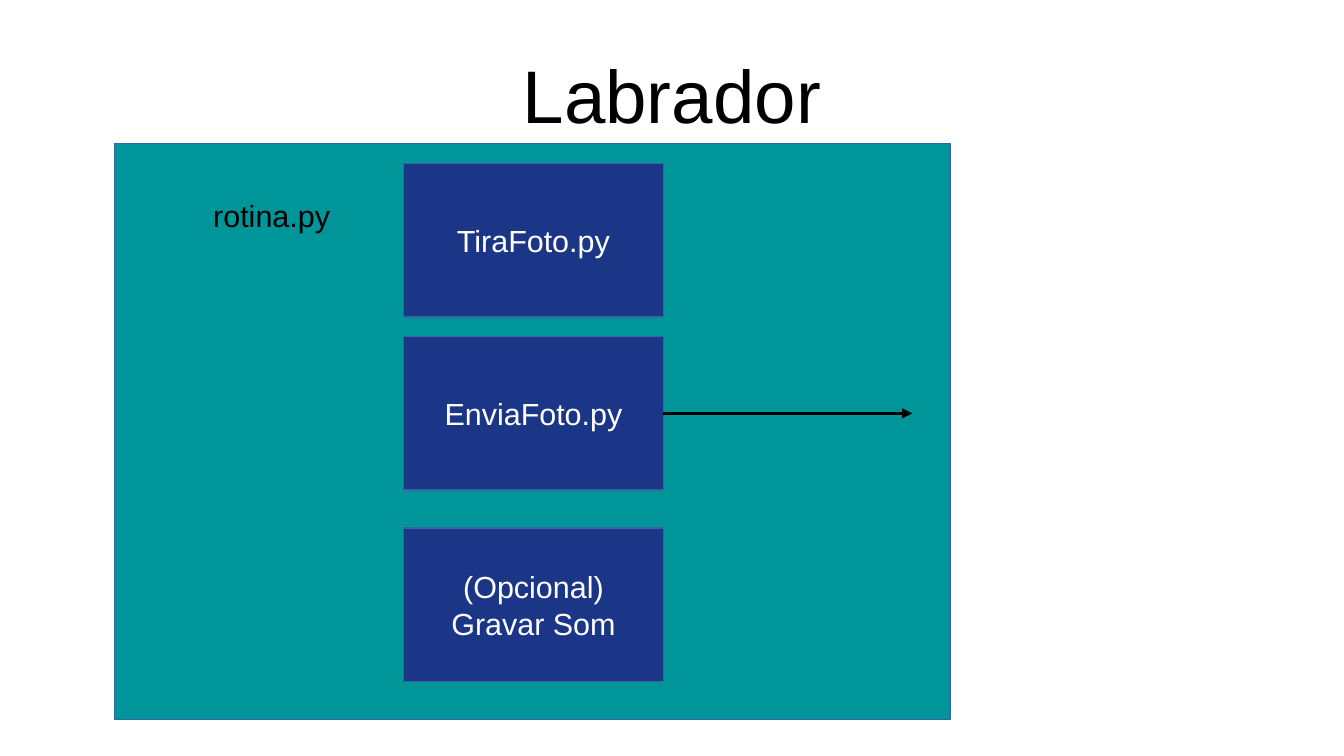
from lxml import etree
from pptx import Presentation
from pptx.dml.color import RGBColor
from pptx.enum.shapes import MSO_CONNECTOR, MSO_SHAPE
from pptx.enum.text import MSO_ANCHOR, PP_ALIGN
from pptx.oxml.ns import qn
from pptx.util import Inches, Pt

RECTANGLE = MSO_SHAPE.RECTANGLE
STRAIGHT = MSO_CONNECTOR.STRAIGHT
TOP, MIDDLE = MSO_ANCHOR.TOP, MSO_ANCHOR.MIDDLE
LEFT, CENTER = PP_ALIGN.LEFT, PP_ALIGN.CENTER


def color(hex_text):
    return RGBColor.from_string(hex_text)


def write(box, lines, size, hex_text, align, anchor):
    frame = box.text_frame
    frame.word_wrap = False
    frame.vertical_anchor = anchor
    for index, line in enumerate(lines):
        para = frame.paragraphs[0] if index == 0 else frame.add_paragraph()
        para.alignment = align
        span = para.add_run()
        span.text = line
        span.font.name = "Arial"
        span.font.size = Pt(size)
        span.font.color.rgb = color(hex_text)


deck = Presentation()
deck.slide_width = Inches(11.02)
deck.slide_height = Inches(6.2)
page = deck.slides.add_slide(deck.slide_layouts[6])

title = page.shapes.add_textbox(Inches(0.55), Inches(0.25), Inches(9.92), Inches(1.04))
write(title, ["Labrador"], 44, "000000", CENTER, MIDDLE)

rectangles = [
    (0.94, 1.18, 6.85, 4.72, "009598", []),
    (3.31, 1.34, 2.13, 1.26, "1C3687", ["TiraFoto.py"]),
    (3.31, 2.76, 2.13, 1.26, "1C3687", ["EnviaFoto.py"]),
    (3.31, 4.33, 2.13, 1.26, "1C3687", ["(Opcional)", "Gravar Som"]),
]
boxes = []
for left, top, width, height, fill, lines in rectangles:
    box = page.shapes.add_shape(
        RECTANGLE, Inches(left), Inches(top), Inches(width), Inches(height))
    box.shadow.inherit = False
    box.fill.solid()
    box.fill.fore_color.rgb = color(fill)
    box.line.color.rgb = color("3465A4")
    box.line.width = Pt(0)
    write(box, lines, 18, "FFFFFF", CENTER, MIDDLE)
    boxes.append(box)
routine, take_photo, send_photo, record_sound = boxes

routine_label = page.shapes.add_textbox(
    Inches(1.65), Inches(1.57), Inches(1.16), Inches(0.66))
write(routine_label, ["rotina.py"], 18, "000000", LEFT, TOP)

arrow = page.shapes.add_connector(
    STRAIGHT, Inches(5.44), Inches(3.39), Inches(7.48), Inches(3.39))
arrow.begin_connect(send_photo, 3)
arrow.line.color.rgb = color("000000")
arrow.line.width = Pt(0)
etree.SubElement(arrow.line._get_or_add_ln(), qn("a:tailEnd"), type="triangle")
etree.SubElement(arrow._element.spPr, qn("a:effectLst"))

deck.save("out.pptx")
